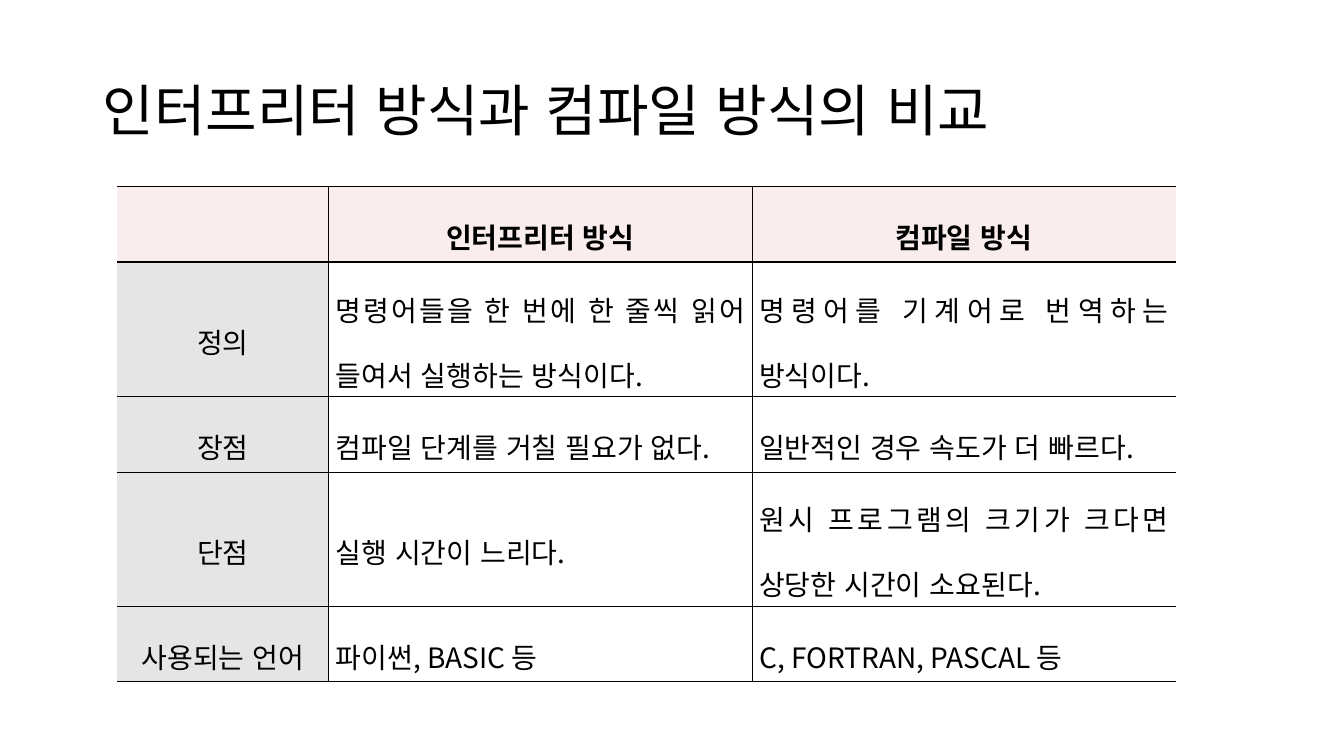
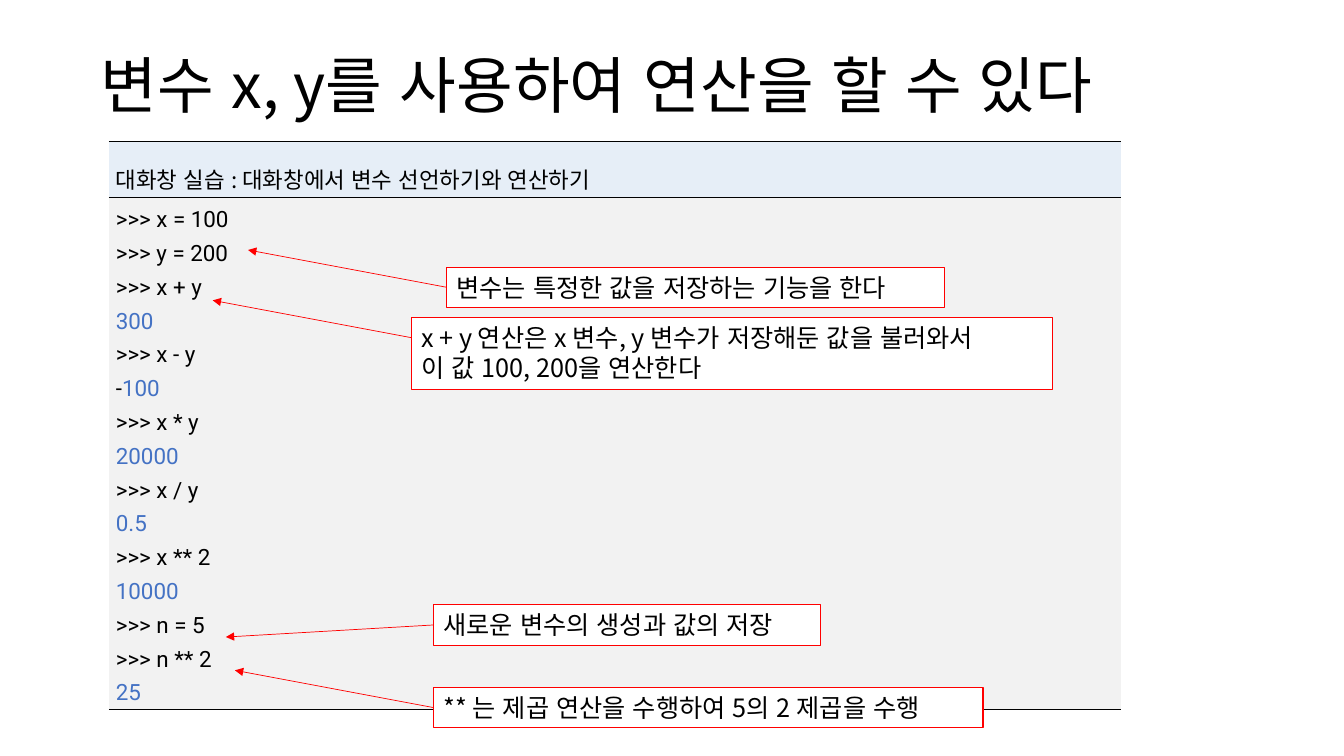
from lxml.etree import SubElement
from pptx import Presentation
from pptx.dml.color import RGBColor
from pptx.enum.lang import MSO_LANGUAGE_ID as Language
from pptx.enum.shapes import MSO_CONNECTOR as Connector, MSO_SHAPE as Shape
from pptx.enum.text import MSO_ANCHOR as Anchor, MSO_AUTO_SIZE as AutoSize, PP_ALIGN as Align
from pptx.oxml.ns import qn
from pptx.util import Inches, Pt

COLORS = {
    "ink": "000000",
    "paper": "FFFFFF",
    "result": "4472C4",
    "callout": "FF0000",
    "pink": "F9EDED",
    "gray": "E5E5E5",
    "sky": "E6EEF7",
    "console": "F2F2F2",
}
KOREAN_FONT = "Noto Sans CJK KR"
CODE_FONT = "Roboto"


def color(name):
    return RGBColor.from_string(COLORS[name])


class Deck:
    def __init__(self):
        self.presentation = Presentation()
        self.presentation.slide_width = Inches(13.33)
        self.presentation.slide_height = Inches(7.5)
        self.slide = None

    def add_slide(self, title, left, top, size):
        layout = self.presentation.slide_layouts.get_by_name("Title Only")
        self.slide = self.presentation.slides.add_slide(layout)
        shape = self.slide.shapes.title
        shape.left, shape.top = Inches(left), Inches(top)
        shape.width, shape.height = Inches(11.5), Inches(1.45)
        frame = shape.text_frame
        frame.auto_size = AutoSize.NONE
        frame.vertical_anchor = Anchor.MIDDLE
        self.add_text(frame, [[(title, "ink")]], size, spacing=0.9)

    def add_text(self, frame, lines, size, font=KOREAN_FONT, bold=False,
                 align=Align.LEFT, spacing=1.0):
        for index, runs in enumerate(lines):
            paragraph = frame.add_paragraph() if index else frame.paragraphs[0]
            paragraph.alignment = align
            paragraph.line_spacing = spacing
            for text, ink in runs:
                run = paragraph.add_run()
                run.text = text
                run.font.name = font
                run.font.size = Pt(size)
                run.font.bold = bold
                run.font.color.rgb = color(ink)
                run.font.language_id = Language.KOREAN
                SubElement(run.font._element, qn("a:ea"), typeface=font)

    def table(self, left, top, widths, heights, rules, divider=0):
        frame = self.slide.shapes.add_table(
            len(heights), len(widths), Inches(left), Inches(top),
            Inches(sum(widths)), Inches(sum(heights)))
        table = frame.table
        table.first_row = table.horz_banding = False
        for column, width in zip(table.columns, widths):
            column.width = Inches(width)
        last = len(widths) - 1
        for row_index, height in enumerate(heights):
            table.rows[row_index].height = Inches(height)
            for column_index in range(len(widths)):
                cell = table.cell(row_index, column_index)
                self.border(cell, "a:lnL", divider if column_index > 0 else 0)
                self.border(cell, "a:lnR", divider if column_index < last else 0)
                self.border(cell, "a:lnT", rules[row_index])
                self.border(cell, "a:lnB", rules[row_index + 1])
        return table

    def border(self, cell, side, width):
        properties = cell._tc.get_or_add_tcPr()
        line = SubElement(properties, qn(side), w=str(int(Pt(width))))
        if width:
            fill = SubElement(line, qn("a:solidFill"))
            SubElement(fill, qn("a:srgbClr"), val=COLORS["ink"])
        else:
            SubElement(line, qn("a:noFill"))

    def fill_cell(self, cell, lines, size, fill=None, **style):
        cell.margin_left = cell.margin_right = Inches(0.07)
        cell.margin_top = cell.margin_bottom = Inches(0.02)
        cell.vertical_anchor = Anchor.MIDDLE
        if fill:
            cell.fill.solid()
            cell.fill.fore_color.rgb = color(fill)
        else:
            cell.fill.background()
        self.add_text(cell.text_frame, lines, size, **style)

    def callout(self, lines, left, top, width, height):
        shape = self.slide.shapes.add_shape(
            Shape.RECTANGLE, Inches(left), Inches(top), Inches(width), Inches(height))
        shape.shadow.inherit = False
        shape.fill.solid()
        shape.fill.fore_color.rgb = color("paper")
        shape.line.color.rgb = color("callout")
        shape.line.width = Pt(0.75)
        frame = shape.text_frame
        frame.word_wrap = True
        frame.vertical_anchor = Anchor.TOP
        self.add_text(frame, [[(line, "ink")] for line in lines], 18)
        return shape

    def arrow(self, shape, start, end):
        connector = self.slide.shapes.add_connector(
            Connector.STRAIGHT, *(Inches(value) for value in start + end))
        middle = shape.top + shape.height // 2
        if abs(Inches(start[1]) - middle) < Inches(0.01):
            connector.begin_connect(shape, 1)
        connector.line.color.rgb = color("callout")
        connector.line.width = Pt(0.5)
        properties = connector._element.spPr
        SubElement(properties.find(qn("a:ln")), qn("a:tailEnd"), type="triangle")
        SubElement(properties, qn("a:effectLst"))


def add_comparison(deck):
    deck.add_slide("인터프리터 방식과 컴파일 방식의 비교", 0.92, 0.4, 40)
    rows = [
        ("", "인터프리터 방식", "컴파일 방식"),
        ("정의", "명령어들을 한 번에 한 줄씩 읽어 들여서 실행하는 방식이다.",
         "명령어를 기계어로 번역하는 방식이다."),
        ("장점", "컴파일 단계를 거칠 필요가 없다.", "일반적인 경우 속도가 더 빠르다."),
        ("단점", "실행 시간이 느리다.",
         "원시 프로그램의 크기가 크다면 상당한 시간이 소요된다."),
        ("사용되는 언어", "파이썬, BASIC 등", "C, FORTRAN, PASCAL 등"),
    ]
    table = deck.table(1.16, 1.85, [2.1, 4.2, 4.2], [0.75, 1.33, 0.75, 1.33, 0.75],
                       [0.56, 1.7, 0.28, 0.28, 0.28, 0.56], 0.56)
    for row_index, texts in enumerate(rows):
        for column_index, text in enumerate(texts):
            header = row_index == 0
            label = column_index == 0
            deck.fill_cell(
                table.cell(row_index, column_index),
                [[(text, "ink")]] if text else [], 20,
                fill="pink" if header else "gray" if label else None,
                bold=header, spacing=1.6,
                align=Align.CENTER if header or label else Align.JUSTIFY)


def add_console(deck):
    deck.add_slide("변수 x, y를 사용하여 연산을 할 수 있다", 0.9, 0.15, 44)
    session = [
        (">>> x = 100",), (">>> y = 200",),
        (">>> x + y", "300"), (">>> x - y", "-100"),
        (">>> x * y", "20000"), (">>> x / y", "0.5"),
        (">>> x ** 2", "10000"), (">>> n = 5",), (">>> n ** 2", "25"),
    ]
    lines = []
    for command, *results in session:
        lines.append([(command, "ink")])
        for result in results:
            sign = [("-", "ink")] if result.startswith("-") else []
            lines.append(sign + [(result.lstrip("-"), "result")])
    table = deck.table(1.08, 1.4, [10.04], [0.55, 5.08], [1, 0.28, 0.28])
    heading = "대화창 실습 : 대화창에서 변수 선언하기와 연산하기"
    deck.fill_cell(table.cell(0, 0), [[(heading, "ink")]], 16, fill="sky",
                   align=Align.JUSTIFY, spacing=1.6)
    deck.fill_cell(table.cell(1, 0), lines, 16, fill="console", font=CODE_FONT,
                   align=Align.JUSTIFY, spacing=1.3)

    callouts = [
        (["변수는 특정한 값을 저장하는 기능을 한다"],
         4.43, 2.65, 4.94, 0.4, (2.46, 2.48)),
        (["x + y 연산은 x 변수, y 변수가 저장해둔 값을 불러와서",
          "이 값 100, 200을 연산한다"],
         4.08, 3.15, 6.36, 0.71, (2.11, 2.98)),
        (["새로운 변수의 생성과 값의 저장"],
         4.3, 6, 3.84, 0.4, (2.24, 6.32)),
        (["** 는 제곱 연산을 수행하여 5의 2 제곱을 수행"],
         4.3, 6.82, 5.45, 0.4, (2.33, 6.65)),
    ]
    for texts, left, top, width, height, target in callouts:
        shape = deck.callout(texts, left, top, width, height)
        deck.arrow(shape, (left, top + 0.2), target)


def main():
    deck = Deck()
    add_comparison(deck)
    add_console(deck)
    deck.presentation.save("out.pptx")


if __name__ == "__main__":
    main()
